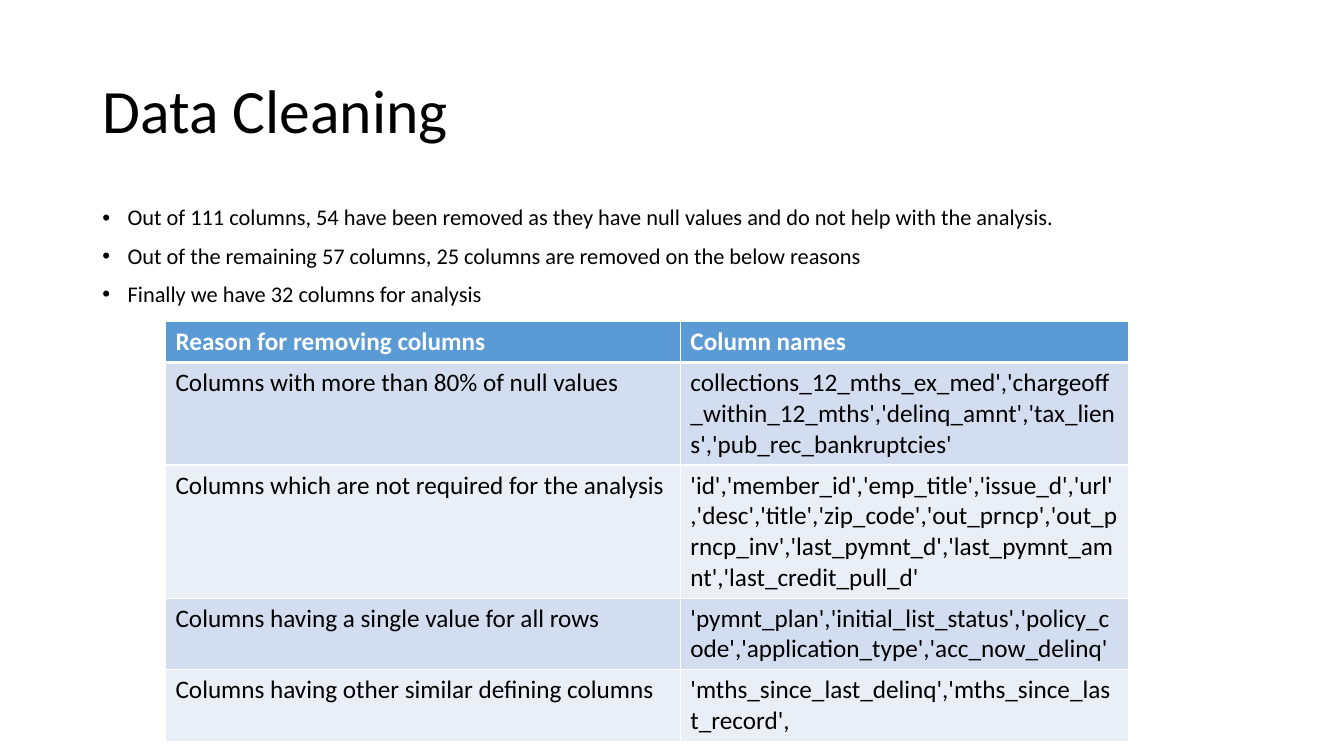
"""Build the Data Cleaning slide: a title, three bullets and a table of removed columns."""
from lxml import etree
from pptx import Presentation
from pptx import util as u
from pptx.dml.color import RGBColor
from pptx.enum import text
from pptx.oxml import ns

WHITE = RGBColor(0xFF, 0xFF, 0xFF)
BLACK = RGBColor(0x00, 0x00, 0x00)
BLUE = RGBColor(0x5B, 0x9B, 0xD5)
BANDS = RGBColor(0xD2, 0xDE, 0xEF), RGBColor(0xEA, 0xEF, 0xF7)
COLUMNS, ROWS = 160, 90

BULLETS = [
    "Out of 111 columns, 54 have been removed as they have null values and do not help with the analysis.",
    "Out of the remaining 57 columns, 25 columns are removed on the below reasons",
    "Finally we have 32 columns for analysis",
]
REASONS = [
    ("Reason for removing columns", "Column names"),
    ("Columns with more than 80% of null values",
     "collections_12_mths_ex_med','chargeoff_within_12_mths','delinq_amnt','tax_liens',"
     "'pub_rec_bankruptcies'"),
    ("Columns which are not required for the analysis",
     "'id','member_id','emp_title','issue_d','url','desc','title','zip_code','out_prncp',"
     "'out_prncp_inv','last_pymnt_d','last_pymnt_amnt','last_credit_pull_d'"),
    ("Columns having a single value for all rows",
     "'pymnt_plan','initial_list_status','policy_code','application_type','acc_now_delinq'"),
    ("Columns having other similar defining columns",
     "'mths_since_last_delinq','mths_since_last_record',"),
]


def assign(target, values):
    """Set each attribute of the target from a dict of format values."""
    for name, value in values.items():
        setattr(target, name, value)


class SlideBuilder:
    """Hold the deck, its style and the current slide."""

    font = "Calibri"
    left_text = {"alignment": text.PP_ALIGN.LEFT}

    def __init__(self):
        """Start a widescreen deck with one title and content slide."""
        self.deck = Presentation()
        assign(self.deck, {"slide_width": u.Inches(13.33), "slide_height": u.Inches(7.5)})
        self.page = self.deck.slides.add_slide(self.deck.slide_layouts[1])

    def across(self, columns):
        """Turn grid columns into a length."""
        return round(self.deck.slide_width * columns / COLUMNS)

    def down(self, rows):
        """Turn grid rows into a length."""
        return round(self.deck.slide_height * rows / ROWS)

    def add_words(self, para, words, size, color=BLACK, bold=False, layout=None):
        """Fill a paragraph with one styled span."""
        assign(para, layout or self.left_text)
        span = para.add_run()
        span.text = words
        assign(span.font, {"name": self.font, "size": u.Pt(size), "bold": bold})
        span.font.color.rgb = color

    def place(self, box, left, top, width, height, anchor):
        """Position a placeholder on the grid and return its text frame."""
        assign(box, {"left": self.across(left), "top": self.down(top),
                     "width": self.across(width), "height": self.down(height)})
        assign(box.text_frame, {"word_wrap": True, "vertical_anchor": anchor,
                                "auto_size": text.MSO_AUTO_SIZE.NONE})
        return box.text_frame

    def title(self, words, *area):
        """Add the slide title."""
        frame = self.place(self.page.shapes.title, *area, text.MSO_ANCHOR.MIDDLE)
        self.add_words(frame.paragraphs[0], words, 44,
                       layout={**self.left_text, "line_spacing": 0.9})

    def bullets(self, items, *area):
        """Add the bulleted list in the body placeholder."""
        frame = self.place(self.page.placeholders[1], *area, text.MSO_ANCHOR.TOP)
        layout = {**self.left_text, "line_spacing": 0.9, "space_before": u.Pt(10)}
        for index, words in enumerate(items):
            para = frame.add_paragraph() if index else frame.paragraphs[0]
            self.add_words(para, words, 16, layout=layout)
            properties = para._p.get_or_add_pPr()
            properties.set("marL", str(u.Inches(0.25)))
            properties.set("indent", str(-u.Inches(0.25)))
            etree.SubElement(properties, ns.qn("a:buChar"), char="•")

    def borders(self, cell, row):
        """Draw white cell edges, thicker below the header."""
        properties = cell._tc.get_or_add_tcPr()
        for edge in "LRTB":
            points = 3 if (row, edge) in ((0, "B"), (1, "T")) else 1
            line = etree.SubElement(properties, ns.qn(f"a:ln{edge}"), w=str(u.Pt(points)))
            fill = etree.SubElement(line, ns.qn("a:solidFill"))
            etree.SubElement(fill, ns.qn("a:srgbClr"), val=str(WHITE))

    def table(self, records, left, top, widths, row_height):
        """Add a banded table with a header row."""
        grid = self.page.shapes.add_table(
            len(records), len(widths), self.across(left), self.down(top),
            self.across(sum(widths)), self.down(row_height * len(records))).table
        for column, width in zip(grid.columns, widths):
            column.width = self.across(width)
        for row, record in enumerate(records):
            header = row == 0
            for column, words in enumerate(record):
                cell = grid.cell(row, column)
                self.borders(cell, row)
                cell.fill.solid()
                cell.fill.fore_color.rgb = BLUE if header else BANDS[(row - 1) % 2]
                self.add_words(cell.text_frame.paragraphs[0], words, 18,
                               WHITE if header else BLACK, header)


slide = SlideBuilder()
slide.title("Data Cleaning", 11, 4.8, 138, 17.4)
slide.bullets(BULLETS, 11, 24, 138, 57.1)
slide.table(REASONS, 19.7, 38.3, (61.3, 53.3), 4.87)
slide.deck.save("out.pptx")
